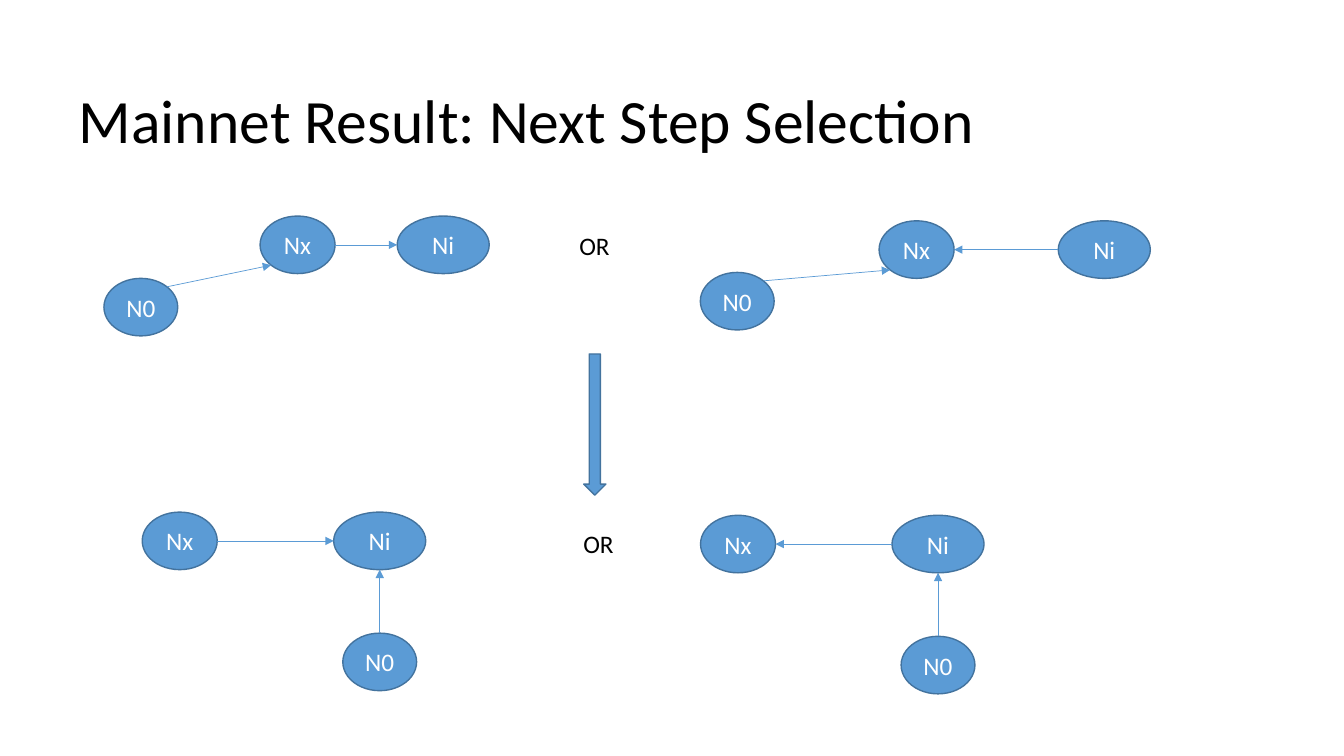
"""Build the slide on next step selection between nodes N0, Nx and Ni."""
from typing import NamedTuple

from lxml import etree
from pptx import Presentation
from pptx.dml.color import RGBColor
from pptx.enum.shapes import MSO_CONNECTOR, MSO_SHAPE
from pptx.enum.text import MSO_ANCHOR, MSO_AUTO_SIZE, PP_ALIGN
from pptx.oxml.ns import qn
from pptx.util import Cm, Pt

ELLIPSE, DOWN_ARROW = MSO_SHAPE.OVAL, MSO_SHAPE.DOWN_ARROW
STRAIGHT = MSO_CONNECTOR.STRAIGHT
LEFT, CENTER = PP_ALIGN.LEFT, PP_ALIGN.CENTER
MIDDLE = MSO_ANCHOR.MIDDLE
NO_AUTOFIT = MSO_AUTO_SIZE.NONE

COLORS = {"node": "5B9BD5", "outline": "43739E", "on_node": "FFFFFF", "text": "000000"}
FONT = "Calibri"
NODE_WIDTHS = {"N0": 1.86, "Nx": 1.89, "Ni": 2.32}
NODE_HEIGHT = 1.45
DIAGONAL = 0.5 ** 0.5
SITES = {
    "top": (0, 0, -1),
    "left": (2, -1, 0),
    "bottom_left": (3, -DIAGONAL, DIAGONAL),
    "bottom": (4, 0, 1),
    "right": (6, 1, 0),
    "top_right": (7, DIAGONAL, -DIAGONAL),
}


class Point(NamedTuple):
    """A place on the slide in centimetres."""
    x: float
    y: float


class Link(NamedTuple):
    """An arrow between sites of two nodes."""
    source: str
    source_site: str
    target: str
    target_site: str


class Graph(NamedTuple):
    """Node centres and the links between them."""
    centers: dict[str, Point]
    links: list[Link]


NX_TO_NI = Link("Nx", "right", "Ni", "left")
NI_TO_NX = Link("Ni", "left", "Nx", "right")
N0_TO_NX = Link("N0", "top_right", "Nx", "bottom_left")
N0_TO_NI = Link("N0", "top", "Ni", "bottom")

RESULT_CENTERS = {"N0": Point(9.57, 16.68), "Nx": Point(4.53, 13.63), "Ni": Point(9.57, 13.63)}
RESULT_OFFSET = Point(14.07, 0.08)

GRAPHS = [
    Graph({"N0": Point(3.55, 7.74), "Nx": Point(7.5, 6.17), "Ni": Point(11.17, 6.17)},
          [N0_TO_NX, NX_TO_NI]),
    Graph({"N0": Point(18.58, 7.59), "Nx": Point(23.1, 6.29), "Ni": Point(27.83, 6.29)},
          [N0_TO_NX, NI_TO_NX]),
    Graph(RESULT_CENTERS, [NX_TO_NI, N0_TO_NI]),
    Graph({name: Point(center.x + RESULT_OFFSET.x, center.y + RESULT_OFFSET.y)
           for name, center in RESULT_CENTERS.items()},
          [N0_TO_NI, NI_TO_NX]),
]
OR_CORNERS = [Point(14.35, 5.69), Point(14.45, 13.18)]


def color(key: str) -> RGBColor:
    """Look up a palette colour."""
    return RGBColor.from_string(COLORS[key])


def write(frame, text: str, size: int, color_key: str, align) -> None:
    """Put one formatted run into a text frame."""
    paragraph = frame.paragraphs[0]
    paragraph.alignment = align
    run = paragraph.add_run()
    run.text = text
    run.font.name = FONT
    run.font.size = Pt(size)
    run.font.color.rgb = color(color_key)


def add_block(slide, preset, left: float, top: float, width: float, height: float):
    """Add a filled, outlined preset shape."""
    block = slide.shapes.add_shape(preset, Cm(left), Cm(top), Cm(width), Cm(height))
    block.shadow.inherit = False
    block.fill.solid()
    block.fill.fore_color.rgb = color("node")
    block.line.color.rgb = color("outline")
    block.line.width = Pt(1)
    return block


def add_node(slide, name: str, center: Point):
    """Add a labelled ellipse around its centre."""
    width = NODE_WIDTHS[name]
    node = add_block(slide, ELLIPSE, center.x - width / 2, center.y - NODE_HEIGHT / 2,
                     width, NODE_HEIGHT)
    node.text_frame.vertical_anchor = MIDDLE
    write(node.text_frame, name, 18, "on_node", CENTER)
    return node


def site_point(name: str, center: Point, site: str) -> Point:
    """Find where a connection site lies on a node."""
    _, across, down = SITES[site]
    return Point(center.x + across * NODE_WIDTHS[name] / 2, center.y + down * NODE_HEIGHT / 2)


def add_link(slide, link: Link, centers: dict[str, Point], nodes: dict) -> None:
    """Add an arrow attached to both of its nodes."""
    start = site_point(link.source, centers[link.source], link.source_site)
    end = site_point(link.target, centers[link.target], link.target_site)
    arrow = slide.shapes.add_connector(STRAIGHT, Cm(start.x), Cm(start.y), Cm(end.x), Cm(end.y))
    arrow.line.color.rgb = color("node")
    arrow.line.width = Pt(0.5)
    properties = arrow.element.spPr
    etree.SubElement(properties.find(qn("a:ln")), qn("a:tailEnd"), type="triangle")
    etree.SubElement(properties, qn("a:effectLst"))
    attachments = arrow.element.find(".//" + qn("p:cNvCxnSpPr"))
    for tag, name, site in (("a:stCxn", link.source, link.source_site),
                            ("a:endCxn", link.target, link.target_site)):
        etree.SubElement(attachments, qn(tag), id=str(nodes[name].shape_id),
                         idx=str(SITES[site][0]))


def add_graph(slide, graph: Graph) -> None:
    """Add the nodes of a graph and then its links."""
    nodes = {name: add_node(slide, name, center) for name, center in graph.centers.items()}
    for link in graph.links:
        add_link(slide, link, graph.centers, nodes)


def add_or(slide, corner: Point) -> None:
    """Add the word between two alternatives."""
    alternative = slide.shapes.add_textbox(Cm(corner.x), Cm(corner.y), Cm(1.3), Cm(1.02))
    alternative.text_frame.word_wrap = False
    write(alternative.text_frame, "OR", 18, "text", LEFT)


def main() -> None:
    """Build and save the presentation."""
    deck = Presentation()
    deck.slide_width, deck.slide_height = Cm(33.87), Cm(19.05)
    slide = deck.slides.add_slide(deck.slide_layouts[5])

    title = slide.shapes.title
    title.left, title.top, title.width, title.height = Cm(1.73), Cm(1.27), Cm(29.21), Cm(3.68)
    title.text_frame.vertical_anchor = MIDDLE
    title.text_frame.auto_size = NO_AUTOFIT
    write(title.text_frame, "Mainnet Result: Next Step Selection", 44, "text", LEFT)
    title.text_frame.paragraphs[0].line_spacing = 0.9

    for graph in GRAPHS:
        add_graph(slide, graph)
    for corner in OR_CORNERS:
        add_or(slide, corner)
    add_block(slide, DOWN_ARROW, 14.71, 8.92, 0.56, 3.56)
    deck.save("out.pptx")


main()
